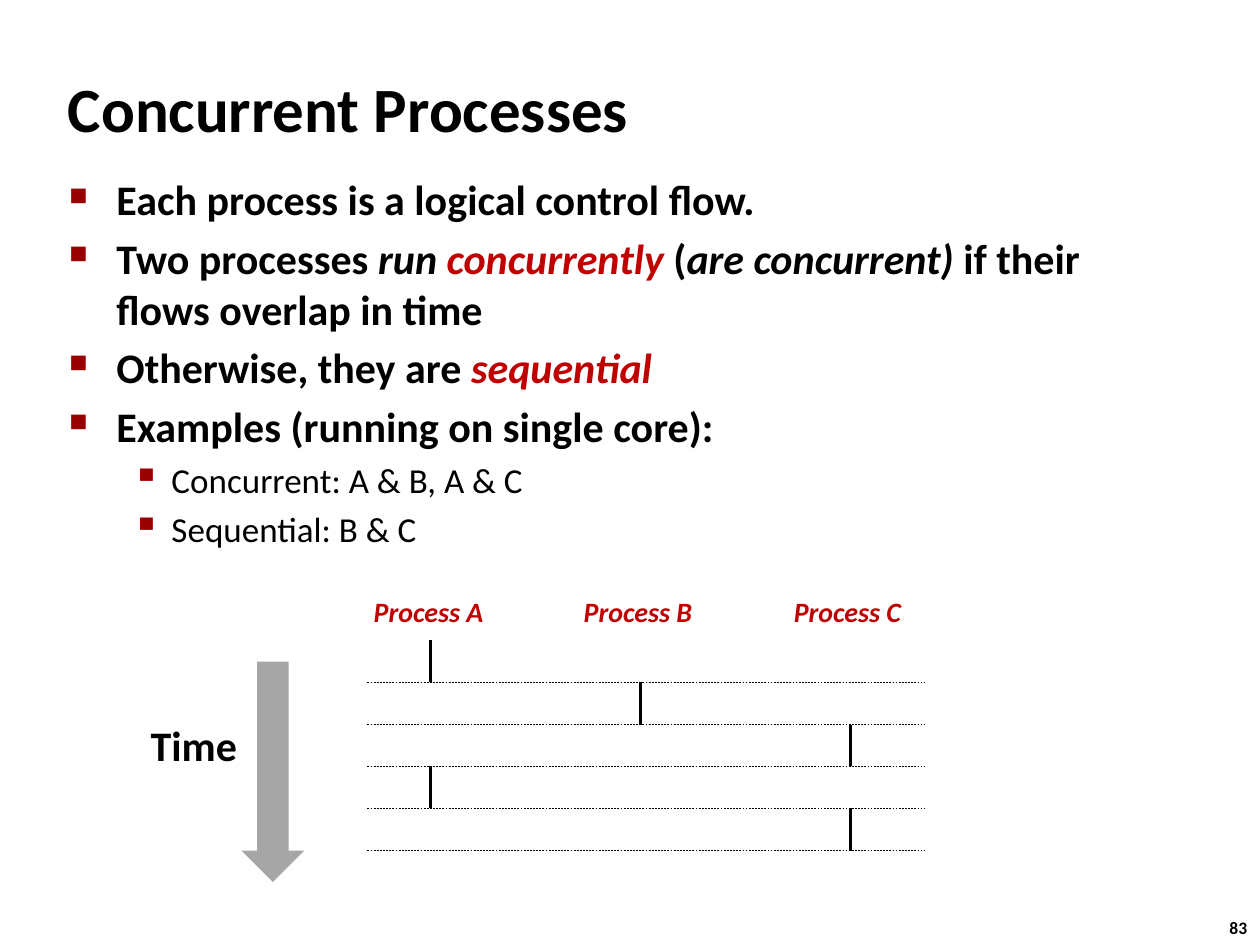
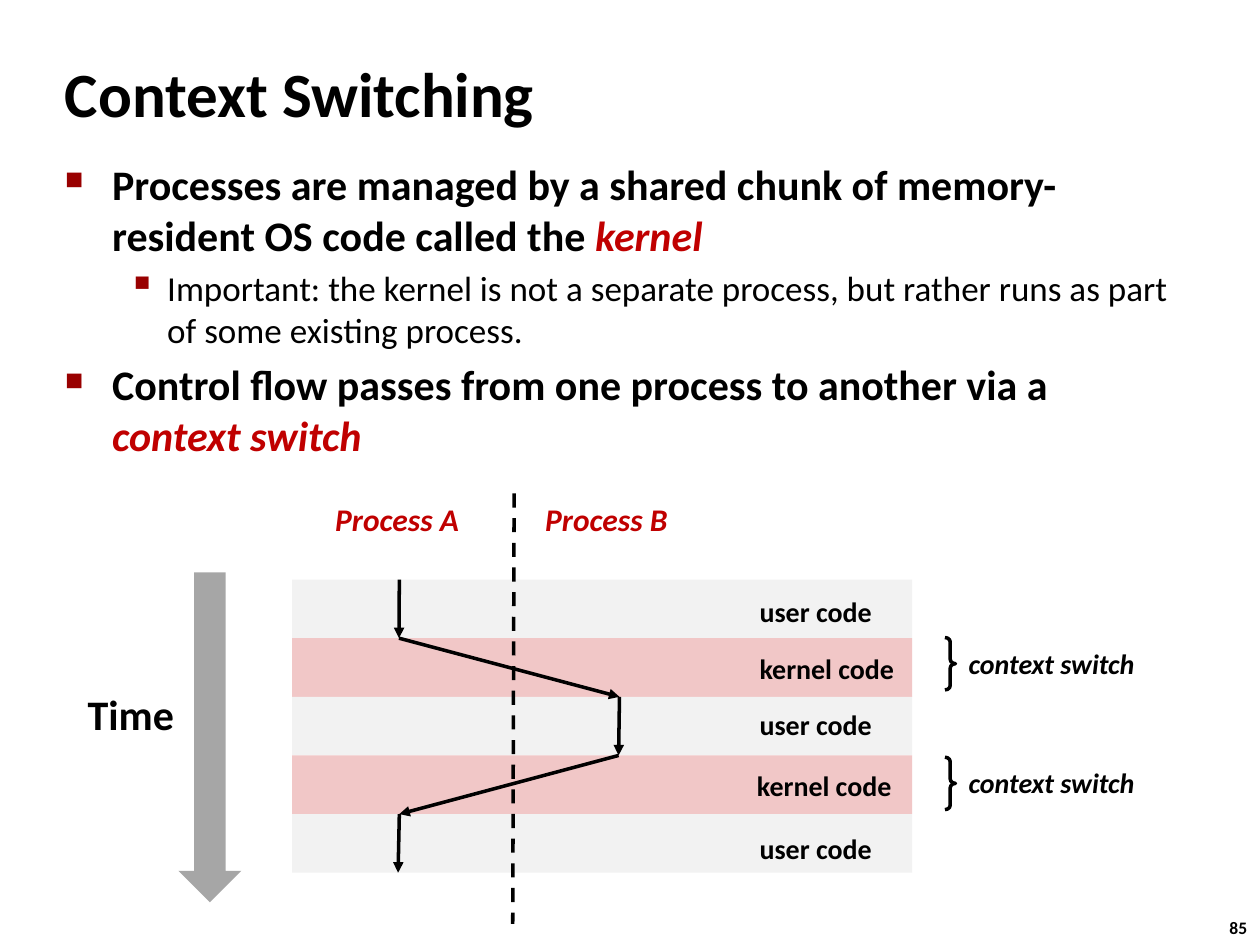
from itertools import pairwise

from lxml import etree
from pptx import Presentation
from pptx.dml.color import RGBColor
from pptx.enum import dml, shapes, text
from pptx.oxml import ns
from pptx.util import Pt

FONT = "Calibri"
COLORS = {
    "ink": "000000",
    "key": "C00000",
    "bullet": "990000",
    "time": "A6A6A6",
    "user": "F2F2F2",
    "kernel": "F1C7C7",
}
LEVELS = [
    {"size": 24, "bold": True, "margin": 27, "hang": 27, "char": "■", "scale": 60},
    {"size": 20, "bold": False, "margin": 58.5, "hang": 22.5, "char": "▪", "scale": 110},
]


def rgb(name):
    """Return the named colour of the deck."""
    return RGBColor.from_string(COLORS[name])


def add_xml(parent, tag, **attributes):
    """Append a drawing element and return it."""
    return etree.SubElement(parent, ns.qn(tag), attributes)


def style_span(span, size, bold=True, italic=False, color="ink"):
    """Set the font of one run."""
    font = span.font
    font.name, font.size, font.bold, font.italic = FONT, Pt(size), bold, italic
    font.color.rgb = rgb(color)


def add_label(page, words, left, top, width, height, size, **style):
    """Add a one-line text box."""
    box = page.shapes.add_textbox(Pt(left), Pt(top), Pt(width), Pt(height))
    frame = box.text_frame
    frame.text = words
    frame.word_wrap = False
    style_span(frame.paragraphs[0].runs[0], size, **style)
    return box


def add_bullet(para, level):
    """Give a paragraph the hanging square of its level."""
    props = para._p.get_or_add_pPr()
    props.set("marL", str(Pt(level["margin"])))
    props.set("indent", str(-Pt(level["hang"])))
    add_xml(add_xml(props, "a:buClr"), "a:srgbClr", val=COLORS["bullet"])
    add_xml(props, "a:buSzPct", val=str(level["scale"] * 1000))
    add_xml(props, "a:buChar", char=level["char"])


def add_body(page, left, top, width, height, items):
    """Add the bulleted text, with (level, spans) for each paragraph."""
    box = page.shapes.add_textbox(Pt(left), Pt(top), Pt(width), Pt(height))
    frame = box.text_frame
    frame.word_wrap = True
    for index, (depth, spans) in enumerate(items):
        level = LEVELS[depth]
        para = frame.add_paragraph() if index else frame.paragraphs[0]
        add_bullet(para, level)
        if index:
            para.space_before = Pt(level["size"] * 0.2)
        for words, kind in spans:
            span = para.add_run()
            span.text = words
            style_span(span, level["size"], level["bold"], kind != "plain",
                       "key" if kind == "key" else "ink")


def add_line(page, start, end, width=2, dashed=False, arrow=False):
    """Draw a straight black line between two points."""
    line = page.shapes.add_connector(
        shapes.MSO_CONNECTOR.STRAIGHT, *(Pt(value) for value in start + end))
    line.line.color.rgb = rgb("ink")
    line.line.width = Pt(width)
    if dashed:
        line.line.dash_style = dml.MSO_LINE.DASH
    if arrow:
        add_xml(line.line._get_or_add_ln(), "a:tailEnd", type="triangle")
    add_xml(line._element.spPr, "a:effectLst")


def add_shape(page, kind, left, top, width, height, fill=None):
    """Add a shape that is either filled or outlined in black."""
    shape = page.shapes.add_shape(kind, Pt(left), Pt(top), Pt(width), Pt(height))
    shape.shadow.inherit = False
    if fill:
        shape.fill.solid()
        shape.fill.fore_color.rgb = rgb(fill)
        shape.line.fill.background()
    else:
        shape.fill.background()
        shape.line.color.rgb = rgb("ink")
        shape.line.width = Pt(2)
    return shape


def add_page(deck, number, title, left, top):
    """Add a blank page with its title and page number."""
    page = deck.slides.add_slide(deck.slide_layouts[6])
    add_label(page, str(number), 695.5, 520.5, 24.5, 19.5, 10)
    heading = add_label(page, title, left, top, 470, 45.4, 36)
    heading.text_frame.vertical_anchor = text.MSO_ANCHOR.MIDDLE
    heading.text_frame.word_wrap = True
    return page


def add_time_arrow(page, left, top, height, label_top):
    """Add the downward time arrow and its label."""
    add_label(page, "Time", left - 59, label_top, 64, 36, 24)
    add_shape(page, shapes.MSO_SHAPE.DOWN_ARROW, left, top, 36, height, "time")


def add_process_labels(page, letters, left, top, width, height, size):
    """Name the process columns."""
    for column, letter in enumerate(letters):
        add_label(page, f"Process {letter}", left + 120 * column, top, width, height,
                  size, italic=True, color="key")


def build_concurrent(deck):
    """Build the page on concurrent processes."""
    page = add_page(deck, 83, "Concurrent Processes", 31.7, 38.9)
    add_body(page, 32.4, 95.8, 622, 204, [
        (0, [("Each process is a logical control flow.", "plain")]),
        (0, [("Two processes ", "plain"), ("run ", "italic"), ("concurrently", "key"),
             (" (", "plain"), ("are concurrent)", "italic"),
             (" if their flows overlap in time", "plain")]),
        (0, [("Otherwise, they are ", "plain"), ("sequential", "key")]),
        (0, [("Examples (running on single core):", "plain")]),
        (1, [("Concurrent: A & B, A & C", "plain")]),
        (1, [("Sequential: B & C", "plain")]),
    ])
    add_process_labels(page, "ABC", 206.5, 336, 78, 26.6, 16)
    for slot, process in enumerate("ABCAC"):
        x = 246 + 120 * "ABC".index(process)
        top = 366 + 24 * slot
        add_line(page, (x, top), (x, top + 24))
        add_line(page, (210, top + 24), (528, top + 24), width=0.25, dashed=True)
    add_time_arrow(page, 138, 378, 126, 407.5)


def build_switching(deck):
    """Build the page on context switching."""
    page = add_page(deck, 85, "Context Switching", 30, 30.2)
    add_body(page, 30, 87.1, 653, 201, [
        (0, [("Processes are managed by a shared chunk of memory-resident OS code "
              "called the ", "plain"), ("kernel", "key")]),
        (1, [("Important: the kernel is not a separate process, but rather runs as "
              "part of some existing process.", "plain")]),
        (0, [("Control flow passes from one process to another via a ", "plain"),
             ("context switch", "key")]),
    ])
    band_top, band_height = 331.2, 33.5
    code_labels = [("user", 427, 336.2), ("kernel", 427, 368.6), ("user", 427, 401),
                   ("kernel", 425.5, 435.6), ("user", 427, 471.6)]
    for row, (mode, left, top) in enumerate(code_labels):
        add_shape(page, shapes.MSO_SHAPE.RECTANGLE, 167, band_top + band_height * row,
                  354.3, band_height, mode)
        add_label(page, f"{mode} code", left, top, 79 if mode == "user" else 92, 26.6, 16)
    add_process_labels(page, "AB", 184.5, 282.2, 86, 29, 18)
    add_line(page, (293.8, 282), (293, 528), dashed=True)
    flow = [(x, band_top + band_height * row)
            for row, x in enumerate([228.2, 228, 354, 353.5, 228.2, 227.5])]
    for start, end in pairwise(flow):
        add_line(page, start, end, arrow=True)
    for top in (364.3, 432.7):
        brace = add_shape(page, shapes.MSO_SHAPE.RIGHT_BRACE, 540, top, 6, 30)
        brace.adjustments[0] = 0.42
        add_label(page, "context switch", 546.5, top + 1.5, 111, 26.6, 16, italic=True)
    add_time_arrow(page, 102, 327, 188.6, 390)


def main():
    """Build and save the deck."""
    deck = Presentation()
    deck.slide_width, deck.slide_height = Pt(720), Pt(540)
    build_concurrent(deck)
    build_switching(deck)
    deck.save("out.pptx")


if __name__ == "__main__":
    main()
